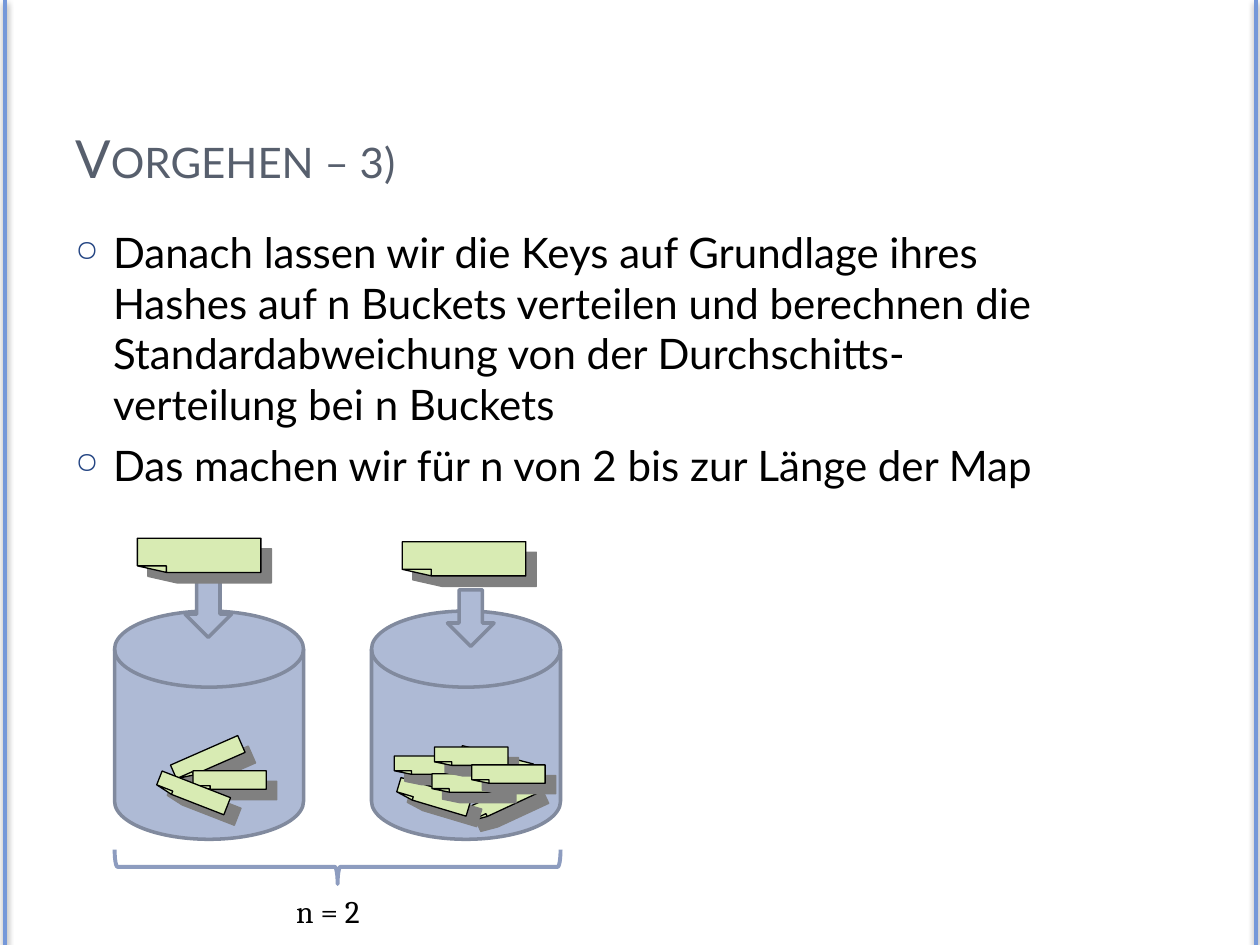
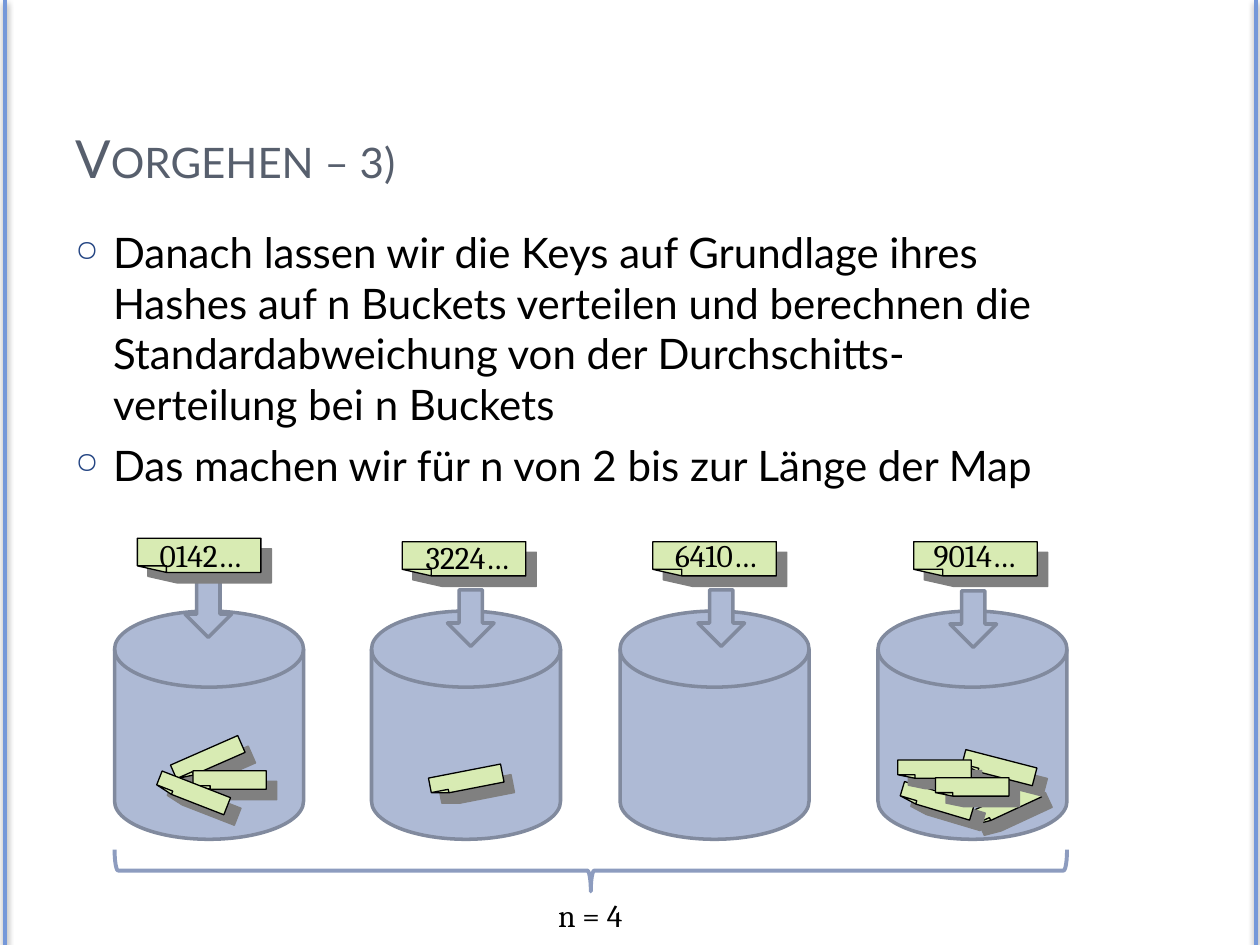
from dataclasses import dataclass

from lxml import etree
from pptx import Presentation
from pptx.dml.color import RGBColor
from pptx.enum import shapes, text
from pptx.oxml import ns
from pptx.util import Cm, Pt

# Shared look
EDGE, INK, TITLE, BULLET = "7598D9", "000000", "575F6D", "244583"
BUCKET, BUCKET_LINE, BRACE = "AEBAD5", "818A9E", "8D9CBF"
NOTE, NOTE_SHADOW = "D8EBB3", "808080"
HEAD_FONT, LABEL_FONT = "Lato", "Cambria"

# Bucket geometry in cm
BUCKET_TOP, BUCKET_W, BUCKET_H = 12.32, 3.81, 4.6
ARROW_W, ARROW_H = 1.14, 0.94
BRACE_TOP = 17.13
CARD_W, CARD_H = 2.49, 0.69
NOTE_W, NOTE_H = 1.48, 0.37

# Outline of a note with folded corner, as fractions of its size;
# the fold line is traced there and back
FOLD_X, FOLD_Y = 0.235, 0.81
OUTLINE = [(1, 0), (1, 1), (FOLD_X, 1), (FOLD_X, FOLD_Y), (0, FOLD_Y),
           (FOLD_X, FOLD_Y), (FOLD_X, 1), (0, FOLD_Y)]

HEADING = "Vorgehen – 3)"
POINTS = [
    "Danach lassen wir die Keys auf Grundlage ihres Hashes auf n Buckets "
    "verteilen und berechnen die Standardabweichung von der "
    "Durchschitts-verteilung bei n Buckets",
    "Das machen wir für n von 2 bis zur Länge der Map",
]


@dataclass
class Note:
    x: float
    y: float
    angle: float = 0
    h: float = NOTE_H


@dataclass
class Bucket:
    x: float
    card_x: float
    card_y: float
    arrow_x: float  # centre of the arrow
    arrow_y: float
    key: str
    key_x: float
    key_y: float


@dataclass
class Diagram:
    buckets: list[Bucket]
    notes: list[Note]
    show_keys: bool
    brace_depth: float
    label: str
    label_x: float
    label_y: float
    label_w: float


def moved(notes: list[Note], dx: float, dy: float) -> list[Note]:
    return [Note(n.x + dx, n.y + dy, n.angle, n.h) for n in notes]


BUCKETS = [
    Bucket(2.31, 2.77, 10.85, 4.20, 12.28, "0142…", 2.97, 10.69),
    Bucket(7.49, 8.11, 10.92, 9.49, 12.46, "3224…", 8.33, 10.72),
    Bucket(12.50, 13.16, 10.92, 14.54, 12.46, "6410…", 13.36, 10.69),
    Bucket(17.70, 18.42, 10.92, 19.62, 12.48, "9014…", 18.57, 10.69),
]
TRIO = [Note(3.45, 15.11, -23.7), Note(3.89, 15.54), Note(3.15, 15.8, 21.3)]
SINGLE = [Note(8.66, 15.54, -11)]
CROWD = [Note(9.37, 15.98, -24.9, 0.33), Note(8, 15.88, 16.6),
         Note(9.25, 15.21, 14.5), Note(7.95, 15.24), Note(8.71, 15.6)]
TOP_PAIR = [Note(8.76, 15.06), Note(9.51, 15.42)]

DIAGRAMS = [
    Diagram(BUCKETS[:2], TRIO + SINGLE + CROWD + TOP_PAIR, False,
            0.69, "n = 2", 5.72, 17.86, 2.39),
    Diagram(BUCKETS, TRIO + SINGLE + moved(CROWD, 10.15, 0.08), True,
            0.84, "n = 4", 11, 17.93, 2.9),
]


def rgb(value: str) -> RGBColor:
    return RGBColor.from_string(value)


def child(parent, tag: str, **attrs):
    return etree.SubElement(parent, ns.qn(tag),
                            {k: str(v) for k, v in attrs.items()})


def add_shadow(sp, color: str, alpha: int, blur: float, dist: float,
               angle: int) -> None:
    effects = child(sp._element.spPr, "a:effectLst")
    shadow = child(effects, "a:outerShdw", blurRad=int(Pt(blur)),
                   dist=int(Pt(dist)), dir=angle * 60000,
                   algn="ctr", rotWithShape=0)
    child(child(shadow, "a:srgbClr", val=color), "a:alpha", val=alpha * 1000)


def add_edge(s, x: float) -> None:
    line = s.shapes.add_connector(shapes.MSO_CONNECTOR.STRAIGHT,
                                  Cm(x), 0, Cm(x), Cm(19.05))
    line.line.color.rgb = rgb(EDGE)
    line.line.width = Pt(2)
    add_shadow(line, INK, 40, 4, 2, 90)


def add_text(s, x: float, y: float, w: float, h: float, lines: list[str],
             size: float, font: str, color: str = INK):
    tf = s.shapes.add_textbox(Cm(x), Cm(y), Cm(w), Cm(h)).text_frame
    tf.word_wrap = True
    tf.text = "\n".join(lines)
    for p in tf.paragraphs:
        for r in p.runs:
            r.font.size, r.font.name = Pt(size), font
            r.font.color.rgb = rgb(color)
    return tf


def add_bullet(p) -> None:
    p.space_before = Pt(6)
    pPr = p._p.get_or_add_pPr()
    pPr.set("marL", str(Cm(0.76)))
    pPr.set("indent", str(-Cm(0.76)))
    child(child(pPr, "a:buClr"), "a:srgbClr", val=BULLET)
    child(pPr, "a:buSzPct", val=70000)
    child(pPr, "a:buChar", char="○")


def add_preset(s, kind, x: float, y: float, w: float, h: float,
               fill: str | None, line: str, width: float, angle: float = 0):
    sp = s.shapes.add_shape(kind, Cm(x), Cm(y), Cm(w), Cm(h))
    sp.shadow.inherit = False
    if fill:
        sp.fill.solid()
        sp.fill.fore_color.rgb = rgb(fill)
    else:
        sp.fill.background()
    sp.line.color.rgb = rgb(line)
    sp.line.width = Pt(width)
    sp.rotation = angle


def add_note(s, x: float, y: float, w: float, h: float,
             angle: float = 0) -> None:
    builder = s.shapes.build_freeform(Cm(x), Cm(y))
    builder.add_line_segments([(Cm(x + u * w), Cm(y + v * h))
                               for u, v in OUTLINE])
    sp = builder.convert_to_shape()
    sp.fill.solid()
    sp.fill.fore_color.rgb = rgb(NOTE)
    sp.line.color.rgb = rgb(INK)
    sp.line.width = Pt(0.75)
    sp.rotation = angle
    add_shadow(sp, NOTE_SHADOW, 100, 0, 8.5, 45)


def add_frame(s) -> None:
    add_edge(s, 0.1)
    add_edge(s, 25.32)
    tf = add_text(s, 1.27, 0.76, 20.75, 3.18, [HEADING], 30, HEAD_FONT, TITLE)
    tf.vertical_anchor = text.MSO_ANCHOR.BOTTOM
    tf.paragraphs[0].runs[0].font._element.set("cap", "small")
    body = add_text(s, 1.27, 4.45, 20.75, 13.54, POINTS, 24, HEAD_FONT)
    for p in body.paragraphs:
        add_bullet(p)


def add_diagram(s, d: Diagram) -> None:
    kinds = shapes.MSO_SHAPE
    for b in d.buckets:
        add_preset(s, kinds.FLOWCHART_MAGNETIC_DISK, b.x, BUCKET_TOP,
                   BUCKET_W, BUCKET_H, BUCKET, BUCKET_LINE, 2)

    # Brace: turned by 90 degrees, spans all buckets
    left, right = d.buckets[0].x, d.buckets[-1].x + BUCKET_W
    span = right - left
    add_preset(s, kinds.RIGHT_BRACE, (left + right - d.brace_depth) / 2,
               BRACE_TOP + (d.brace_depth - span) / 2, d.brace_depth, span,
               None, BRACE, 2.25, 90)
    add_text(s, d.label_x, d.label_y, d.label_w, 1.02, [d.label],
             18, LABEL_FONT)

    # Notes inside the buckets, then the key falling into each
    for n in d.notes:
        add_note(s, n.x, n.y, NOTE_W, n.h, n.angle)
    for b in d.buckets:
        add_preset(s, kinds.RIGHT_ARROW, b.arrow_x - ARROW_W / 2,
                   b.arrow_y - ARROW_H / 2, ARROW_W, ARROW_H,
                   BUCKET, BUCKET_LINE, 2, 90)
        add_note(s, b.card_x, b.card_y, CARD_W, CARD_H)
        if d.show_keys:
            add_text(s, b.key_x, b.key_y, 2.95, 1.02, [b.key], 18, LABEL_FONT)


prs = Presentation()
prs.slide_width, prs.slide_height = Cm(25.4), Cm(19.05)
for diagram in DIAGRAMS:
    s = prs.slides.add_slide(prs.slide_layouts[6])
    add_frame(s)
    add_diagram(s, diagram)
prs.save("out.pptx")
